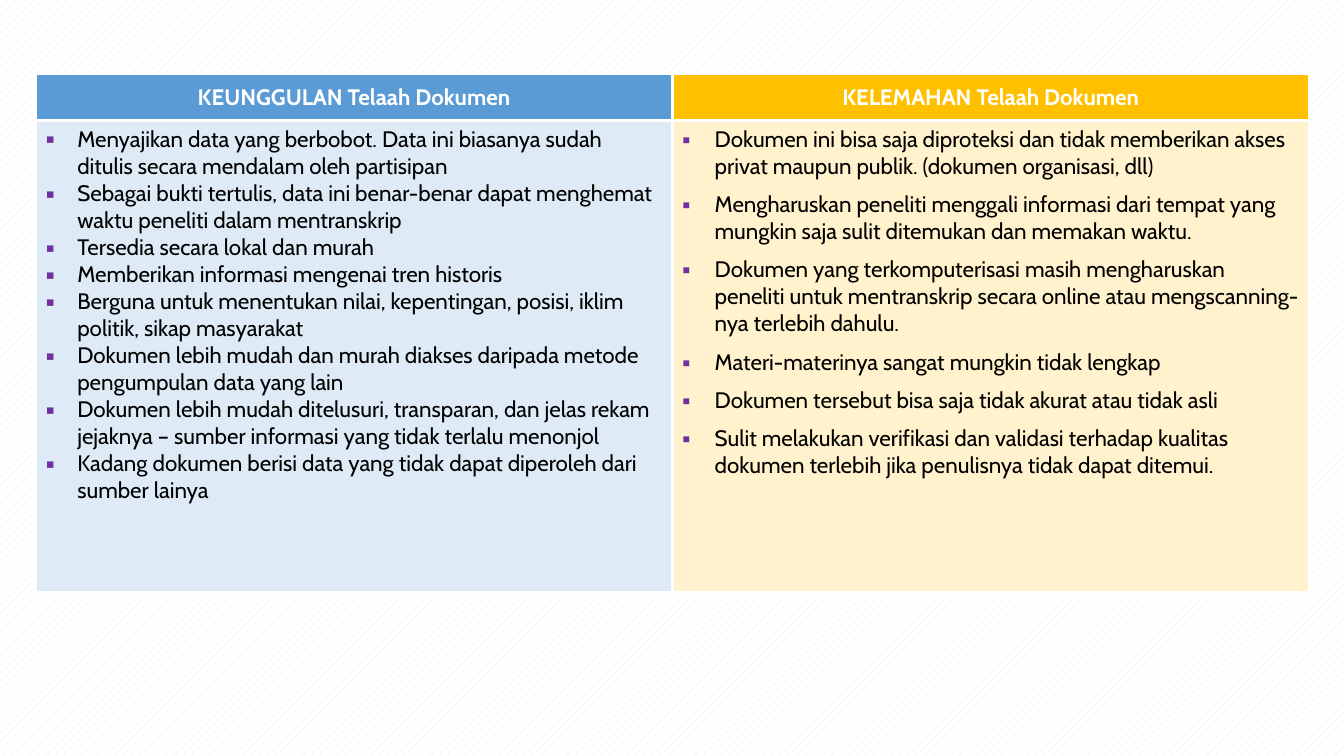
"""Build a slide comparing strengths and weaknesses of document review."""
import pptx
import pptx.util
import pptx.dml.color
import pptx.enum.dml
import pptx.enum.text
import pptx.oxml.ns
import lxml.etree

Pt = pptx.util.Pt

COLUMNS = [
    {
        "heading": "KEUNGGULAN Telaah Dokumen",
        "header_fill": "blue", "body_fill": "pale_blue",
        "indent": 22.5, "gap": 0, "bullet_size": 100,
        "points": [
            "Menyajikan data yang berbobot. Data ini biasanya sudah ditulis secara mendalam oleh partisipan",
            "Sebagai bukti tertulis, data ini benar-benar dapat menghemat waktu peneliti dalam mentranskrip",
            "Tersedia secara lokal dan murah",
            "Memberikan informasi mengenai tren historis",
            "Berguna untuk menentukan nilai, kepentingan, posisi, iklim politik, sikap masyarakat",
            "Dokumen lebih mudah dan murah diakses daripada metode pengumpulan data yang lain",
            "Dokumen lebih mudah ditelusuri, transparan, dan jelas rekam jejaknya – sumber informasi yang tidak terlalu menonjol",
            "Kadang dokumen berisi data yang tidak dapat diperoleh dari sumber lainya",
        ],
    },
    {
        "heading": "KELEMAHAN Telaah Dokumen",
        "header_fill": "gold", "body_fill": "pale_gold",
        "indent": 23, "gap": 8, "bullet_size": 90,
        "points": [
            "Dokumen ini bisa saja diproteksi dan tidak memberikan akses privat maupun publik. (dokumen organisasi, dll)",
            "Mengharuskan peneliti menggali informasi dari tempat yang mungkin saja sulit ditemukan dan memakan waktu.",
            "Dokumen yang terkomputerisasi masih mengharuskan peneliti untuk mentranskrip secara online atau mengscanning-nya terlebih dahulu.",
            "Materi-materinya sangat mungkin tidak lengkap",
            "Dokumen tersebut bisa saja tidak akurat atau tidak asli",
            "Sulit melakukan verifikasi dan validasi terhadap kualitas dokumen terlebih jika penulisnya tidak dapat ditemui.",
        ],
    },
]
COLORS = {
    "white": "FFFFFF", "black": "000000", "hatch": "EDEDED", "bullet": "7030A0",
    "blue": "5B9BD5", "gold": "FFC000", "pale_blue": "DEEBF7", "pale_gold": "FFF2CC",
}
FONT, FONT_SIZE = "Cabin", 16
LEFT, TOP, WIDTH = 25.5, 52.7, 909.6
ROW_HEIGHTS = [33.4, 337.4]
BORDER = 2.25


def color(name):
    return pptx.dml.color.RGBColor.from_string(COLORS[name])


def add_element(parent, tag, **attributes):
    element = lxml.etree.SubElement(parent, pptx.oxml.ns.qn(tag))
    for key, value in attributes.items():
        element.set(key, str(value))
    return element


def write(para, text, ink="black", bold=False, align="LEFT", before=0, indent=0, bullet_size=None):
    if bullet_size:
        properties = para._p.get_or_add_pPr()
        properties.set("marL", str(Pt(indent)))
        properties.set("indent", str(-Pt(indent)))
        add_element(add_element(properties, "a:buClr"), "a:srgbClr", val=COLORS["bullet"])
        add_element(properties, "a:buSzPct", val=bullet_size * 1000)
        add_element(properties, "a:buFont", typeface=FONT)
        add_element(properties, "a:buChar", char="▪")
    para.alignment = getattr(pptx.enum.text.PP_ALIGN, align)
    para.space_before = Pt(before)
    span = para.add_run()
    span.text = text
    span.font.name, span.font.size, span.font.bold = FONT, Pt(FONT_SIZE), bold
    span.font.color.rgb = color(ink)


def style_cell(cell, fill_name):
    properties = cell._tc.get_or_add_tcPr()
    for side in ("a:lnL", "a:lnR", "a:lnT", "a:lnB"):
        line = add_element(properties, side, w=Pt(BORDER))
        add_element(add_element(line, "a:solidFill"), "a:srgbClr", val=COLORS["white"])
    cell.fill.solid()
    cell.fill.fore_color.rgb = color(fill_name)


def main():
    deck = pptx.Presentation()
    deck.slide_width, deck.slide_height = Pt(960), Pt(540)
    page = deck.slides.add_slide(deck.slide_layouts[6])
    backdrop = page.background.fill
    backdrop.patterned()
    backdrop.pattern = pptx.enum.dml.MSO_PATTERN.DASHED_UPWARD_DIAGONAL
    backdrop.fore_color.rgb, backdrop.back_color.rgb = color("hatch"), color("white")

    table = page.shapes.add_table(
        len(ROW_HEIGHTS), len(COLUMNS), Pt(LEFT), Pt(TOP), Pt(WIDTH), Pt(sum(ROW_HEIGHTS))
    ).table
    table.first_row = table.horz_banding = False
    for row, height in zip(table.rows, ROW_HEIGHTS):
        row.height = Pt(height)

    for number, column in enumerate(COLUMNS):
        table.columns[number].width = Pt(WIDTH / len(COLUMNS))
        header, body = table.cell(0, number), table.cell(1, number)
        style_cell(header, column["header_fill"])
        style_cell(body, column["body_fill"])
        header.vertical_anchor = pptx.enum.text.MSO_ANCHOR.MIDDLE
        write(header.text_frame.paragraphs[0], column["heading"], ink="white", bold=True, align="CENTER")
        frame = body.text_frame
        for order, point in enumerate(column["points"]):
            para = frame.add_paragraph() if order else frame.paragraphs[0]
            write(para, point, before=column["gap"] if order else 0,
                  indent=column["indent"], bullet_size=column["bullet_size"])
    deck.save("out.pptx")


if __name__ == "__main__":
    main()
